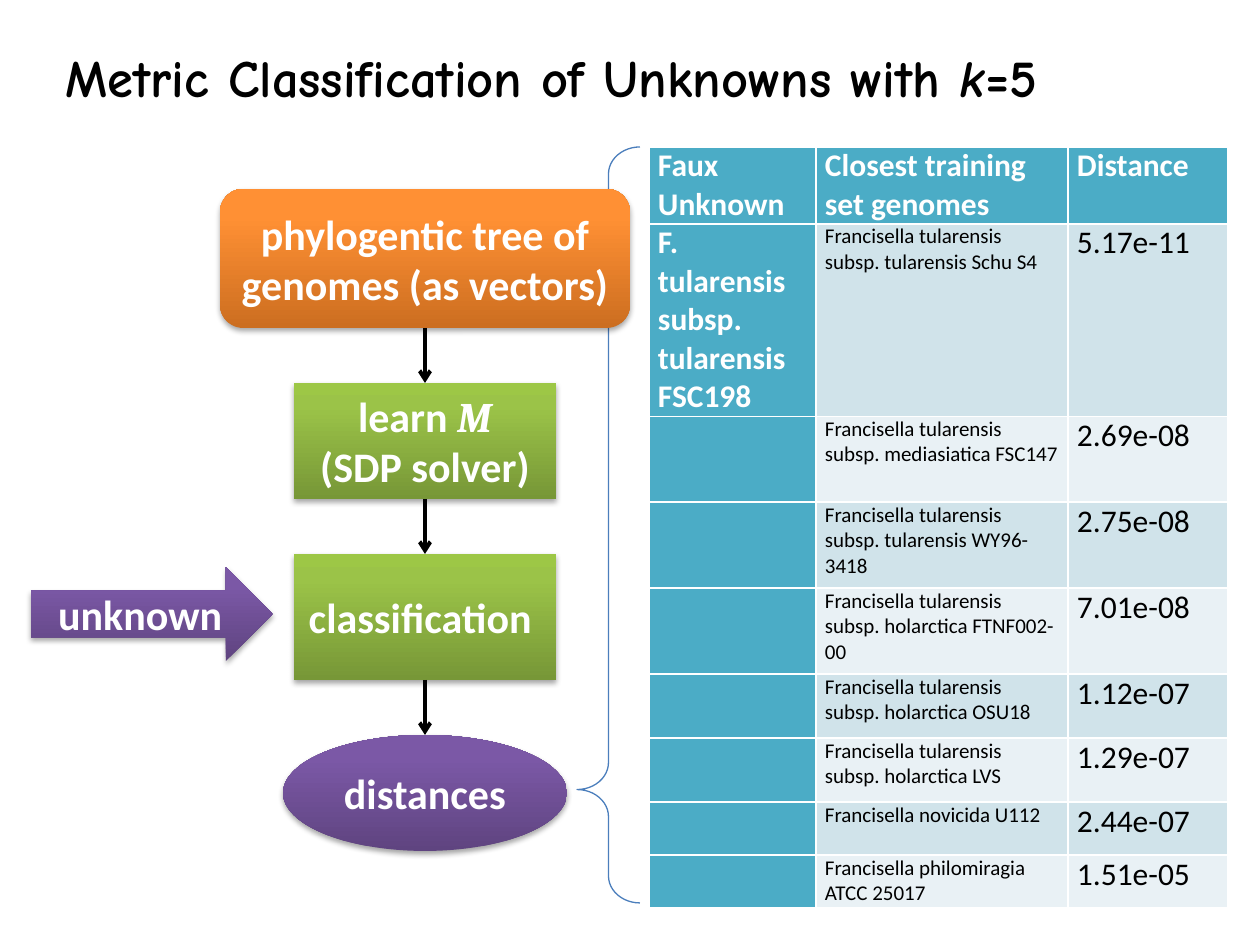
import copy
import lxml.etree
import pptx
import pptx.util
import pptx.dml.color
import pptx.enum.shapes
import pptx.enum.text
import pptx.oxml.ns

HEX = {"white": "FFFFFF", "black": "000000", "brace": "4B7EBC", "head": "4BACC6",
       "odd": "D0E3EA", "even": "E9F1F5"}
GRADS = {"green": ("779737", "9BC348", "9DC746"),
         "orange": ("CC6E20", "FF9034", "FF9136"),
         "purple": ("5F4480", "7B58A6", "7C57A8")}
STOPS = (0, 0.8, 1)

TITLE = [("Metric Classification of Unknowns with ", False), ("k", True), ("=5", False)]
STEPS = [
    ("ROUNDED_RECTANGLE", "orange", 410, 189, 139, ["phylogentic tree of genomes (as vectors)"]),
    ("RECTANGLE", "green", 262, 383, 116, ["learn M", "(SDP solver)"]),
    ("RECTANGLE", "green", 262, 554, 126, ["classification "]),
    ("OVAL", "purple", 284, 735, 116, ["distances"]),
]
MID = 425
HEADS = ["Faux Unknown", "Closest training set genomes", "Distance"]
UNKNOWN = "F. tularensis subsp. tularensis FSC198"
MATCHES = [
    ("Francisella tularensis subsp. tularensis Schu S4", "5.17e-11"),
    ("Francisella tularensis subsp. mediasiatica FSC147", "2.69e-08"),
    ("Francisella tularensis subsp. tularensis WY96-3418", "2.75e-08"),
    ("Francisella tularensis subsp. holarctica FTNF002-00", "7.01e-08"),
    ("Francisella tularensis subsp. holarctica OSU18", "1.12e-07"),
    ("Francisella tularensis subsp. holarctica LVS", "1.29e-07"),
    ("Francisella novicida U112", "2.44e-07"),
    ("Francisella philomiragia ATCC 25017", "1.51e-05"),
]
COLS = [167, 252, 160]
ROWS = [77, 191, 86, 86, 86, 64, 64, 53, 53]

Pt = pptx.util.Pt
KIND = pptx.enum.shapes.MSO_SHAPE
ANCHOR = pptx.enum.text.MSO_ANCHOR
ALIGN = pptx.enum.text.PP_ALIGN
qn = pptx.oxml.ns.qn


def px(n):
    return pptx.util.Emu(round(n * 914400 / 126))


def rgb(name):
    return pptx.dml.color.RGBColor.from_string(HEX.get(name, name))


def style(font, size, color, bold, face="Calibri"):
    font.size, font.bold, font.name = Pt(size), bold, face
    font.color.rgb = rgb(color)


def sub(node, tag, **attrs):
    return lxml.etree.SubElement(node, qn(tag), attrs)


def shade(shape, colors):
    shape.fill.gradient()
    shape.fill.gradient_angle = 90
    last = shape._element.spPr.findall(".//" + qn("a:gs"))[-1]
    last.addnext(copy.deepcopy(last))
    for stop, pos, color in zip(shape.fill.gradient_stops, STOPS, colors):
        stop.position = pos
        stop.color.rgb = rgb(color)


def cast(shape):
    shape.shadow.inherit = False
    fx = shape._element.spPr.find(qn("a:effectLst"))
    drop = sub(fx, "a:outerShdw", blurRad="40000", dist="23000", dir="5400000", rotWithShape="0")
    sub(sub(drop, "a:srgbClr", val=HEX["black"]), "a:alpha", val="35000")


def add_box(kind, grad, x, y, w, h, lines):
    box = slide.shapes.add_shape(getattr(KIND, kind), px(x), px(y), px(w), px(h))
    shade(box, GRADS[grad])
    box.line.fill.background()
    cast(box)
    frame = box.text_frame
    frame.word_wrap = True
    frame.vertical_anchor = ANCHOR.MIDDLE
    frame.text = "\n".join(lines)
    for para in frame.paragraphs:
        para.alignment = ALIGN.CENTER
        style(para.font, 24, "white", True)
    return box


def add_arrow(top, end):
    line = slide.shapes.add_connector(pptx.enum.shapes.MSO_CONNECTOR.STRAIGHT,
                                      px(MID), px(top), px(MID), px(end))
    line.line.color.rgb = rgb("black")
    line.line.width = Pt(2.25)
    sub(line.line._get_or_add_ln(), "a:tailEnd", type="arrow")
    sub(line._element.spPr, "a:effectLst")


def fill_cell(cell, text, fill, size, color, bold):
    cell.fill.solid()
    cell.fill.fore_color.rgb = rgb(fill)
    cell.margin_left = cell.margin_right = px(9)
    cell.margin_top = cell.margin_bottom = 0
    cell.text = text
    style(cell.text_frame.paragraphs[0].font, size, color, bold)


deck = pptx.Presentation()
deck.slide_width, deck.slide_height = px(1260), px(945)
slide = deck.slides.add_slide(deck.slide_layouts[5])

title = slide.shapes.title
title.left, title.top, title.width, title.height = px(53), px(39), px(1187), px(77)
title.text_frame.vertical_anchor = ANCHOR.TOP
para = title.text_frame.paragraphs[0]
para.alignment = ALIGN.LEFT
for text, slant in TITLE:
    run = para.add_run()
    run.text, run.font.italic = text, slant
style(para.font, 30, "black", True, "Comic Neue")

brace = slide.shapes.add_shape(KIND.LEFT_BRACE, px(577), px(147), px(63), px(756))
brace.adjustments[0], brace.adjustments[1] = 0.43, 0.85
brace.fill.background()
brace.line.color.rgb = rgb("brace")
brace.line.width = Pt(0.75)
brace.shadow.inherit = False

boxes = [add_box(kind, grad, MID - w / 2, y, w, h, lines)
         for kind, grad, w, y, h, lines in STEPS]
for a, b in zip(STEPS, STEPS[1:]):
    add_arrow(a[3] + a[4], b[3])
add_box("RIGHT_ARROW", "purple", 31, 567, 242, 94, ["unknown"])

learn = boxes[1].text_frame.paragraphs[0]
learn.runs[0].text = "learn "
var = learn.add_run()
var.text, var.font.name, var.font.italic = "M", "Cambria", True

table = slide.shapes.add_table(len(ROWS), len(COLS), px(649), px(147),
                               px(sum(COLS)), px(sum(ROWS))).table
table.first_col = True
for col, w in zip(table.columns, COLS):
    col.width = px(w)
for row, h in zip(table.rows, ROWS):
    row.height = px(h)
for c, text in enumerate(HEADS):
    fill_cell(table.cell(0, c), text, "head", 18, "white", True)
for r, (genome, dist) in enumerate(MATCHES, 1):
    band = "odd" if r % 2 else "even"
    fill_cell(table.cell(r, 0), UNKNOWN if r == 1 else "", "head", 18, "white", True)
    fill_cell(table.cell(r, 1), genome, band, 12, "black", False)
    fill_cell(table.cell(r, 2), dist, band, 18, "black", False)

deck.save("out.pptx")
